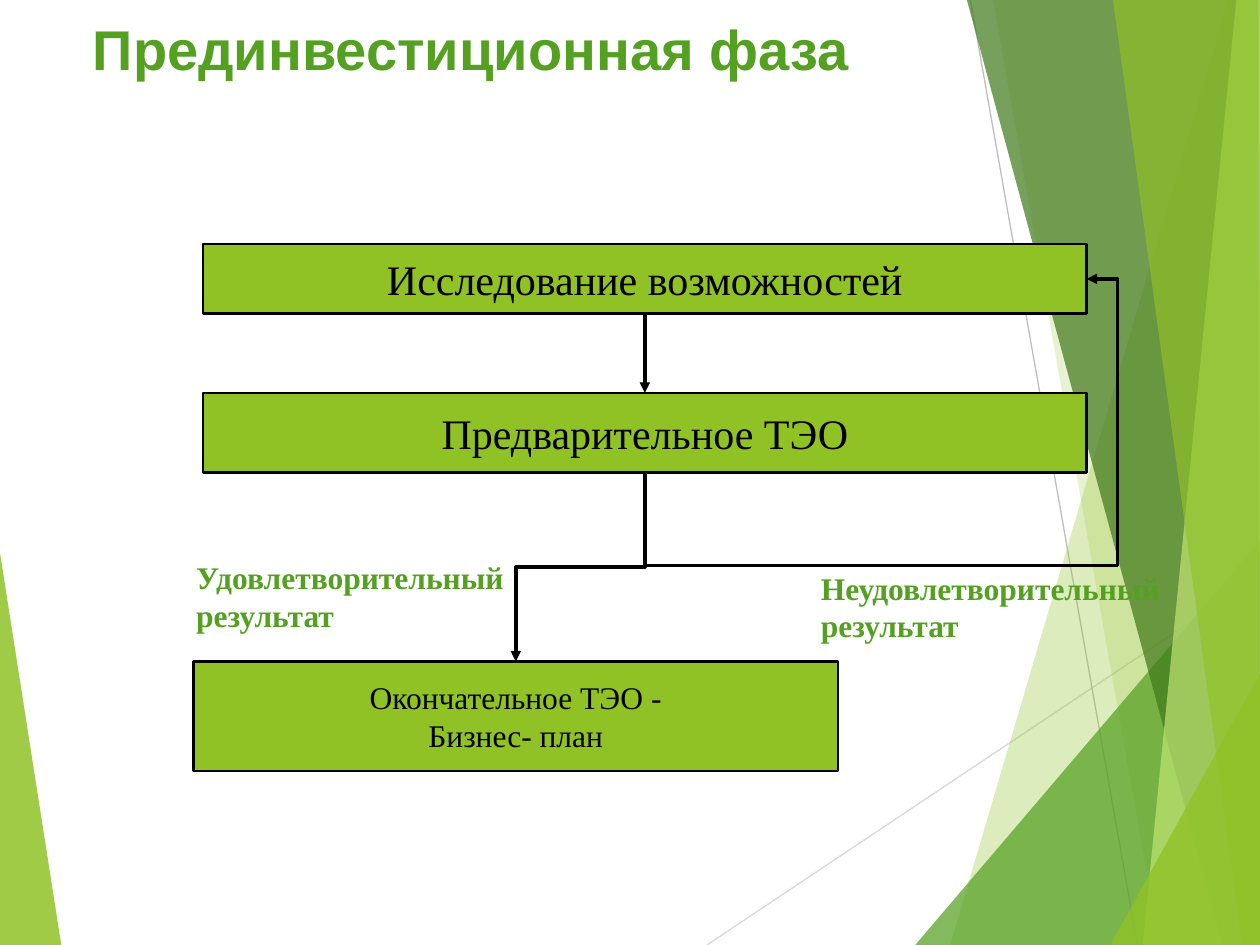
from dataclasses import dataclass
from typing import Any, NamedTuple

from lxml import etree
from pptx import Presentation
from pptx.dml.color import RGBColor
from pptx.enum.shapes import MSO_CONNECTOR, MSO_SHAPE
from pptx.enum.text import MSO_ANCHOR, MSO_AUTO_SIZE, PP_ALIGN
from pptx.oxml.ns import qn
from pptx.util import Pt

RECT = MSO_SHAPE.RECTANGLE
STRAIGHT, ELBOW = MSO_CONNECTOR.STRAIGHT, MSO_CONNECTOR.ELBOW
TOP, MIDDLE = MSO_ANCHOR.TOP, MSO_ANCHOR.MIDDLE
LEFT, CENTER = PP_ALIGN.LEFT, PP_ALIGN.CENTER
FIT, FIXED = MSO_AUTO_SIZE.SHAPE_TO_FIT_TEXT, MSO_AUTO_SIZE.NONE
WIDE, HIGH = 720, 540


@dataclass(frozen=True)
class Theme:
    lime: str = "90C226"
    pale: str = "C0E474"
    green: str = "54A021"
    dark: str = "3F7819"
    ink: str = "000000"
    sans: str = "Arial"
    serif: str = "Times New Roman"
    title: int = 32
    large: int = 24
    small: int = 18
    edge: float = 1.5
    flow: float = 2
    hair: float = 0.75


THEME = Theme()


class Point(NamedTuple):
    x: float
    y: float


class Facet(NamedTuple):
    points: list[tuple[float, float]]
    color: str
    alpha: int


class Ray(NamedTuple):
    start: Point
    end: Point
    color: str


class Box(NamedTuple):
    x: float
    y: float
    w: float
    h: float
    lines: list[str]
    size: int

    @property
    def mid(self) -> float:
        return self.x + self.w / 2

    @property
    def base(self) -> float:
        return self.y + self.h


LEAF = Facet([(0, 316), (35, HIGH), (0, HIGH)], THEME.lime, 85)
RAYS = [
    Ray(Point(404, HIGH), Point(WIDE, 329), "D9D9D9"),
    Ray(Point(554.5, 0), Point(650, HIGH), "BFBFBF"),
]
FACETS = [
    Facet([(702, 0), (543, HIGH), (WIDE, HIGH), (WIDE, 0)], THEME.lime, 30),
    Facet([(567.5, 0), (662.5, HIGH), (WIDE, HIGH), (WIDE, 0)], THEME.lime, 20),
    Facet([(523, HIGH), (WIDE, 309), (WIDE, HIGH)], THEME.green, 72),
    Facet([(552.5, 0), (698.5, HIGH), (WIDE, HIGH), (WIDE, 0)], THEME.dark, 70),
    Facet([(706.5, 0), (653, HIGH), (WIDE, HIGH), (WIDE, 0)], THEME.pale, 70),
    Facet([(636, 0), (710, HIGH), (WIDE, HIGH), (719, 0)], THEME.lime, 65),
    Facet([(634.5, HIGH), (WIDE, 385), (WIDE, HIGH)], THEME.lime, 80),
]

TITLE = Box(46, 1.4, 573, 45.4, ["Прединвестиционная фаза"], THEME.title)
STUDY = Box(116, 139.5, 505, 39.7, ["Исследование возможностей"], THEME.large)
DRAFT = Box(116, 224.5, 505, 45.5, ["Предварительное ТЭО"], THEME.large)
FINAL = Box(110.5, 378, 368.5, 62.5, ["Окончательное ТЭО -", "Бизнес- план"], THEME.small)
NOTES = [
    Box(105, 315.4, 192, 50.4, ["Удовлетворительный", "результат"], THEME.small),
    Box(462, 321.4, 214.5, 50.4, ["Неудовлетворительный", "результат"], THEME.small),
]


def set_all(item: Any, values: dict[str, Any]) -> None:
    for name, value in values.items():
        setattr(item, name, value)


def paint(fill: Any, color: str) -> None:
    fill.solid()
    fill.fore_color.rgb = RGBColor.from_string(color)


def write(shape: Any, box: Box, color: str, frame: dict[str, Any],
          align: Any = LEFT, face: str = THEME.serif, bold: bool = True) -> None:
    text = shape.text_frame
    set_all(text, frame)
    text.text = "\n".join(box.lines)
    for para in text.paragraphs:
        para.alignment = align
        set_all(para.font, {"name": face, "size": Pt(box.size), "bold": bold})
        para.font.color.rgb = RGBColor.from_string(color)


def add_label(shapes: Any, box: Box, frame: dict[str, Any], face: str) -> None:
    label = shapes.add_textbox(*map(Pt, box[:4]))
    write(label, box, THEME.green, frame, face=face)


def add_stage(shapes: Any, box: Box) -> None:
    shape = shapes.add_shape(RECT, *map(Pt, box[:4]))
    shape.shadow.inherit = False
    paint(shape.fill, THEME.lime)
    paint(shape.line.fill, THEME.ink)
    shape.line.width = Pt(THEME.edge)
    frame = {"word_wrap": False, "vertical_anchor": MIDDLE}
    write(shape, box, THEME.ink, frame, CENTER, bold=False)


def add_facet(shapes: Any, facet: Facet) -> None:
    first, *rest = [(Pt(x), Pt(y)) for x, y in facet.points]
    path = shapes.build_freeform(*first)
    path.add_line_segments(rest, close=True)
    shape = path.convert_to_shape()
    shape.shadow.inherit = False
    paint(shape.fill, facet.color)
    shape.line.fill.background()
    tint = shape.fill._xPr.find(".//" + qn("a:srgbClr"))
    etree.SubElement(tint, qn("a:alpha"), val=str(facet.alpha * 1000))


def add_line(shapes: Any, kind: Any, start: Point, end: Point,
             color: str, width: float) -> Any:
    line = shapes.add_connector(kind, *map(Pt, (*start, *end)))
    paint(line.line.fill, color)
    line.line.width = Pt(width)
    etree.SubElement(line._element.spPr, qn("a:effectLst"))
    return line


def add_flow(shapes: Any, kind: Any, start: Point, end: Point) -> Any:
    line = add_line(shapes, kind, start, end, THEME.ink, THEME.flow)
    etree.SubElement(line.line._get_or_add_ln(), qn("a:tailEnd"), type="triangle")
    return line


def add_bend(shapes: Any, start: Point, end: Point, shape: str, *turns: float) -> None:
    """Draw an elbow that leaves downward: a sideways one turned by 90 degrees."""
    mid = Point((start.x + end.x) / 2, (start.y + end.y) / 2)
    ends = [Point(mid.x + p.y - mid.y, mid.y - p.x + mid.x) for p in (start, end)]
    spec = add_flow(shapes, ELBOW, *ends)._element.spPr
    spec.find(qn("a:xfrm")).set("rot", "5400000")
    geom = spec.find(qn("a:prstGeom"))
    geom.set("prst", shape)
    guides = geom.find(qn("a:avLst"))
    for num, turn in enumerate(turns, 1):
        etree.SubElement(guides, qn("a:gd"), name=f"adj{num}",
                         fmla=f"val {round(turn * 100000)}")


def main() -> None:
    deck = Presentation()
    set_all(deck, {"slide_width": Pt(WIDE), "slide_height": Pt(HIGH)})
    shapes = deck.slides.add_slide(deck.slide_layouts[6]).shapes

    add_facet(shapes, LEAF)
    for ray in RAYS:
        add_line(shapes, STRAIGHT, *ray, THEME.hair)
    for facet in FACETS:
        add_facet(shapes, facet)

    head = {"word_wrap": True, "auto_size": FIXED, "vertical_anchor": TOP,
            "margin_top": Pt(6.8)}
    add_label(shapes, TITLE, head, THEME.sans)
    for stage in (STUDY, DRAFT, FINAL):
        add_stage(shapes, stage)
    for note in NOTES:
        add_label(shapes, note, {"word_wrap": False, "auto_size": FIT}, THEME.serif)

    add_flow(shapes, STRAIGHT, Point(STUDY.mid, STUDY.base), Point(DRAFT.mid, DRAFT.y))
    fork = Point(DRAFT.mid, DRAFT.base)
    add_bend(shapes, fork, Point(FINAL.mid, FINAL.y), "bentConnector3", 0.5)
    back = Point(STUDY.x + STUDY.w, STUDY.y + STUDY.h / 2)
    add_bend(shapes, fork, back, "bentConnector4", -0.48, 1.07)

    deck.save("out.pptx")


if __name__ == "__main__":
    main()
